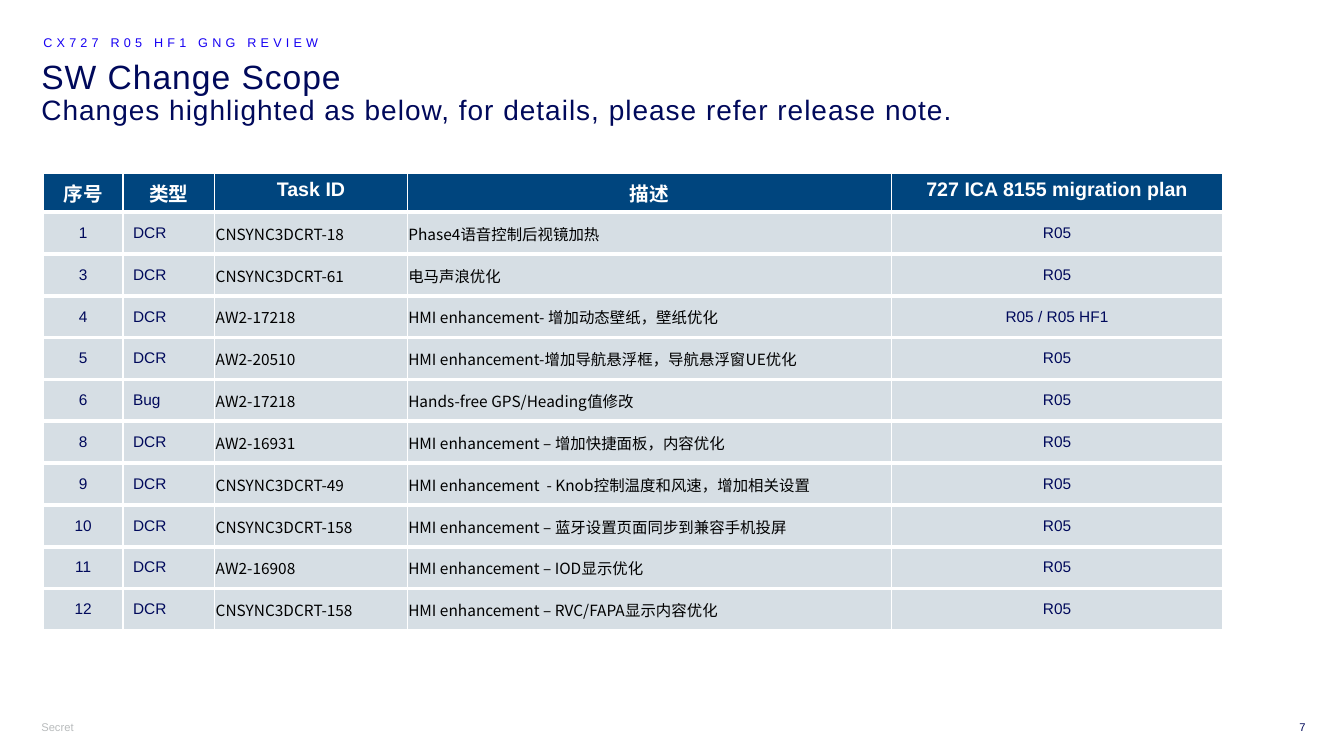
from lxml.etree import SubElement
from pptx import Presentation
from pptx.dml.color import RGBColor
from pptx.enum.text import MSO_ANCHOR, MSO_AUTO_SIZE, PP_ALIGN
from pptx.oxml.ns import qn
from pptx.util import Inches, Pt

# Content
SECTION = "CX727 R05 HF1 GNG REVIEW"
TITLE = "SW Change Scope"
SUBTITLE = "Changes highlighted as below, for details, please refer release note."
CLASSIFICATION = "Secret"
PAGE_NUMBER = "7"
HEADERS = ("序号", "类型", "Task ID", "描述", "727 ICA 8155 migration plan")
CHANGES = [
    ("1", "DCR", "CNSYNC3DCRT-18", "Phase4语音控制后视镜加热", "R05"),
    ("3", "DCR", "CNSYNC3DCRT-61", "电马声浪优化", "R05"),
    ("4", "DCR", "AW2-17218", "HMI enhancement- 增加动态壁纸，壁纸优化", "R05 / R05 HF1"),
    ("5", "DCR", "AW2-20510", "HMI enhancement-增加导航悬浮框，导航悬浮窗UE优化", "R05"),
    ("6", "Bug", "AW2-17218", "Hands-free GPS/Heading值修改", "R05"),
    ("8", "DCR", "AW2-16931", "HMI enhancement – 增加快捷面板，内容优化", "R05"),
    ("9", "DCR", "CNSYNC3DCRT-49", "HMI enhancement  - Knob控制温度和风速，增加相关设置", "R05"),
    ("10", "DCR", "CNSYNC3DCRT-158", "HMI enhancement – 蓝牙设置页面同步到兼容手机投屏", "R05"),
    ("11", "DCR", "AW2-16908", "HMI enhancement – IOD显示优化", "R05"),
    ("12", "DCR", "CNSYNC3DCRT-158", "HMI enhancement – RVC/FAPA显示内容优化", "R05"),
]

# Style
NAVY = RGBColor(0x00, 0x09, 0x5B)
VIOLET = RGBColor(0x17, 0x00, 0xF3)
HEADER_BLUE = RGBColor(0x00, 0x45, 0x7E)
ROW_GREY = RGBColor(0xD6, 0xDE, 0xE4)
FOOTER_GREY = RGBColor(0xB9, 0xBC, 0xBD)
WHITE = RGBColor(0xFF, 0xFF, 0xFF)
BLACK = RGBColor(0x00, 0x00, 0x00)
LATIN_FONT = "Arial"
CJK_FONT = "Noto Sans CJK SC"

# Table geometry in inches
COLUMN_WIDTHS = (0.79, 0.91, 1.91, 4.8, 3.29)
HEADER_HEIGHT = 0.23
BODY_HEIGHT = 4.15
CENTERED_COLUMNS = (0, 4)
CJK_COLUMNS = (2, 3)


def format_run(run, size, color, font=LATIN_FONT, bold=False, spacing=0):
    run.font.name = font
    run.font.size = Pt(size)
    run.font.bold = bold
    run.font.color.rgb = color
    properties = run.font._element
    if spacing:
        properties.set("spc", str(spacing))
    east_asian = SubElement(properties, qn("a:ea"))
    east_asian.set("typeface", CJK_FONT)
    properties.find(qn("a:latin")).addnext(east_asian)


def place(shape, left, top, width, height, text, wrap=True):
    shape.left, shape.top = Inches(left), Inches(top)
    shape.width, shape.height = Inches(width), Inches(height)
    frame = shape.text_frame
    frame.text = text
    frame.word_wrap = wrap
    frame.auto_size = MSO_AUTO_SIZE.NONE
    frame.vertical_anchor = MSO_ANCHOR.TOP
    frame.margin_left = frame.margin_right = 0
    frame.margin_top = frame.margin_bottom = Inches(0.05)
    paragraph = frame.paragraphs[0]
    paragraph.alignment = PP_ALIGN.LEFT
    paragraph.space_before = Pt(0)
    return paragraph


def add_borders(cell, top_width):
    properties = cell._tc.get_or_add_tcPr()
    for side, width in (("L", 1), ("R", 1), ("T", top_width), ("B", 3)):
        line = SubElement(properties, qn(f"a:ln{side}"), w=str(Pt(width)))
        fill = SubElement(line, qn("a:solidFill"))
        SubElement(fill, qn("a:srgbClr"), val=str(WHITE))


def fill_cell(cell, text, row, column):
    is_header = row == 0
    is_cjk = not is_header and column in CJK_COLUMNS
    add_borders(cell, 1 if is_header else 3)
    cell.fill.solid()
    cell.fill.fore_color.rgb = HEADER_BLUE if is_header else ROW_GREY
    cell.vertical_anchor = MSO_ANCHOR.TOP if is_header else MSO_ANCHOR.MIDDLE
    cell.margin_left = cell.margin_right = Inches(0.01 if is_cjk else 0.1)
    cell.margin_top = Inches(0.01 if is_cjk else 0.05)
    cell.margin_bottom = Inches(0 if is_cjk else 0.05)
    cell.text_frame.text = text
    paragraph = cell.text_frame.paragraphs[0]
    centered = is_header or column in CENTERED_COLUMNS
    paragraph.alignment = PP_ALIGN.CENTER if centered else PP_ALIGN.LEFT
    if is_header:
        format_run(paragraph.runs[0], 14, WHITE, bold=True)
    elif is_cjk:
        format_run(paragraph.runs[0], 11, BLACK, CJK_FONT)
    else:
        format_run(paragraph.runs[0], 11, NAVY)


def add_headings(slide):
    # Title with its second line
    paragraph = place(slide.shapes.title, 0.41, 0.55, 11.5, 0.75, f"{TITLE}\v{SUBTITLE}")
    paragraph.line_spacing = 0.9
    for run, size in zip(paragraph.runs, (24, 20)):
        format_run(run, size, NAVY, spacing=70)
    line_break = paragraph._p.find(qn("a:br"))
    SubElement(line_break, qn("a:rPr"), sz="2400")

    # Section label
    paragraph = place(slide.placeholders[1], 0.43, 0.31, 5.95, 0.24, SECTION)
    paragraph.line_spacing = 0.9
    properties = paragraph._p.get_or_add_pPr()
    properties.set("marL", "0")
    properties.set("indent", "0")
    SubElement(properties, qn("a:buNone"))
    format_run(paragraph.runs[0], 9, VIOLET, spacing=300)


def add_change_table(slide):
    rows = [HEADERS, *CHANGES]
    frame = slide.shapes.add_table(
        len(rows), len(HEADERS), Inches(0.43), Inches(1.72),
        Inches(sum(COLUMN_WIDTHS)), Inches(HEADER_HEIGHT + BODY_HEIGHT))
    table = frame.table
    table.horz_banding = False
    for column, width in zip(table.columns, COLUMN_WIDTHS):
        column.width = Inches(width)
    for row_index, values in enumerate(rows):
        height = BODY_HEIGHT / len(CHANGES) if row_index else HEADER_HEIGHT
        table.rows[row_index].height = Inches(height)
        for column_index, text in enumerate(values):
            fill_cell(table.cell(row_index, column_index), text, row_index, column_index)


def add_footer(slide):
    for left, width, text, color, alignment in (
        (0.41, 0.43, CLASSIFICATION, FOOTER_GREY, PP_ALIGN.LEFT),
        (12.6, 0.35, PAGE_NUMBER, NAVY, PP_ALIGN.RIGHT),
    ):
        shape = slide.shapes.add_textbox(0, 0, 0, 0)
        paragraph = place(shape, left, 7.1, width, 0.24, text)
        paragraph.alignment = alignment
        format_run(paragraph.runs[0], 8, color)


def main():
    presentation = Presentation()
    presentation.slide_width = Inches(13.33)
    presentation.slide_height = Inches(7.5)
    slide = presentation.slides.add_slide(presentation.slide_layouts[1])
    add_headings(slide)
    add_change_table(slide)
    add_footer(slide)
    presentation.save("out.pptx")


if __name__ == "__main__":
    main()
